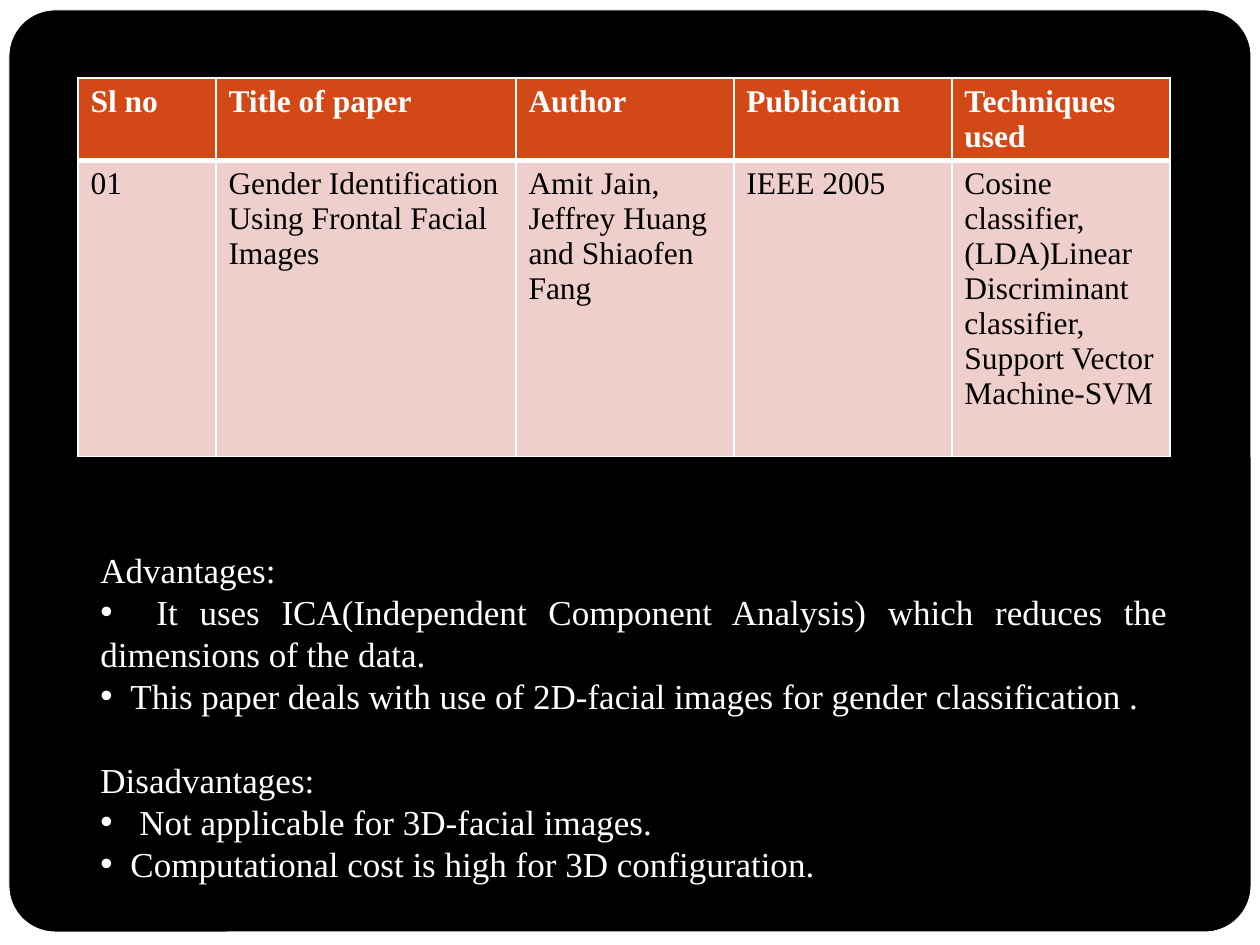
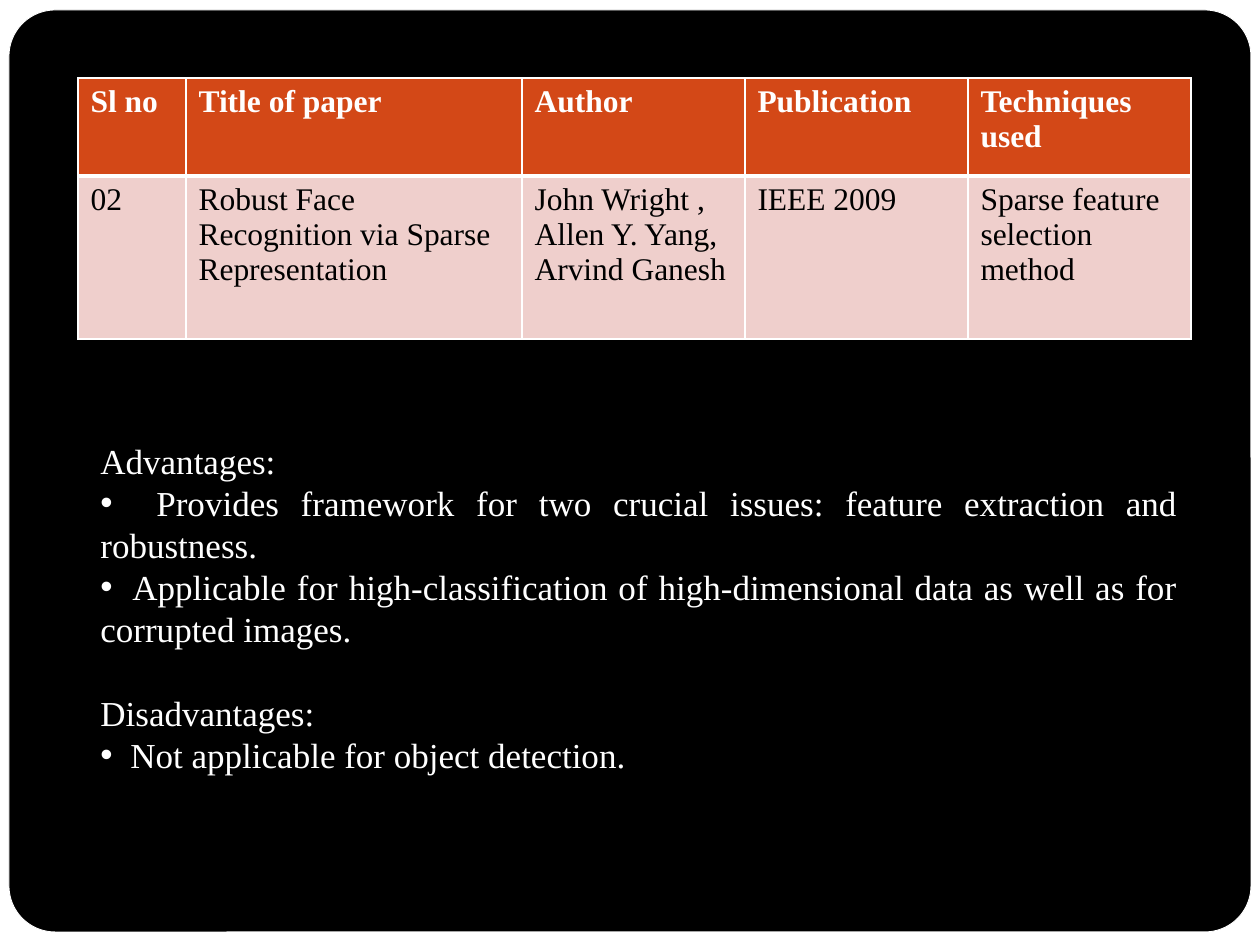
import pptx
import pptx.util
import pptx.dml.color
import pptx.enum.shapes
import pptx.enum.text
from dataclasses import dataclass
from lxml import etree
from pptx.oxml.ns import qn

EMU_PER_PX = 914400 // 126
ALIGN = pptx.enum.text.PP_ALIGN
SHAPE = pptx.enum.shapes.MSO_SHAPE


# Shared look
@dataclass(frozen=True)
class Theme:
    font: str = "Times New Roman"
    light: str = "FFFFFF"
    dark: str = "000000"
    header: str = "D34817"
    body: str = "EFCFCC"
    table_size: int = 18
    review_size: int = 20
    section_gap: int = 24
    thin: float = 1
    thick: float = 3


THEME = Theme()
HEADERS = ["Sl no", "Title of paper", "Author", "Publication", "Techniques used"]


def px(n):
    return pptx.util.Emu(n * EMU_PER_PX)


def rgb(color):
    return pptx.dml.color.RGBColor.from_string(color)


# Text
def add_bullet(p, lead):
    """Flush bullet: wrapped lines return to the left edge."""
    pPr = p._p.get_or_add_pPr()
    pPr.set("marL", "0")
    pPr.set("indent", "0")
    etree.SubElement(pPr, qn("a:buFont"), typeface="Arial")
    etree.SubElement(pPr, qn("a:buChar"), char="•")
    tabs = etree.SubElement(pPr, qn("a:tabLst"))
    etree.SubElement(tabs, qn("a:tab"), pos=str(px(lead)), algn="l")


def add_text(tf, text, size, color, bold=False, align=ALIGN.LEFT, before=0, lead=None):
    p = tf.paragraphs[0]
    if p.runs:
        p = tf.add_paragraph()
    if lead is not None:
        add_bullet(p, lead)
        text = "\t" + text
    p.alignment = align
    if before:
        p.space_before = pptx.util.Pt(before)
    r = p.add_run()
    r.text = text
    r.font.name = THEME.font
    r.font.size = pptx.util.Pt(size)
    r.font.bold = bold
    r.font.color.rgb = rgb(color)


# Background
def add_panel(slide, kind, x, y, w, h, fill, line=None):
    sp = slide.shapes.add_shape(kind, px(x), px(y), px(w), px(h))
    sp.shadow.inherit = False
    sp.fill.solid()
    sp.fill.fore_color.rgb = rgb(fill)
    if line:
        sp.line.color.rgb = rgb(line)
        sp.line.width = pptx.util.Pt(0.5)
    else:
        sp.line.fill.background()
    return sp


def add_frame(slide):
    slide.background.fill.solid()
    slide.background.fill.fore_color.rgb = rgb(THEME.dark)
    add_panel(slide, SHAPE.RECTANGLE, 0, 0, 1260, 945, THEME.light)
    sp = add_panel(slide, SHAPE.ROUNDED_RECTANGLE, 9, 10, 1242, 922,
                   THEME.dark, THEME.light)
    sp.adjustments[0] = 0.05


# Table
def set_borders(cell, top, bottom):
    tcPr = cell._tc.get_or_add_tcPr()
    widths = {"lnL": THEME.thin, "lnR": THEME.thin, "lnT": top, "lnB": bottom}
    for side, width in widths.items():
        ln = etree.SubElement(tcPr, qn("a:" + side), w=str(pptx.util.Pt(width)))
        fill = etree.SubElement(ln, qn("a:solidFill"))
        etree.SubElement(fill, qn("a:srgbClr"), val=THEME.light)


def add_cell(cell, text, is_header):
    if is_header:
        fill, color, edges = THEME.header, THEME.light, (THEME.thin, THEME.thick)
    else:
        fill, color, edges = THEME.body, THEME.dark, (THEME.thick, THEME.thin)
    set_borders(cell, *edges)
    cell.fill.solid()
    cell.fill.fore_color.rgb = rgb(fill)
    for line in text.split("\n"):
        add_text(cell.text_frame, line, size=THEME.table_size, color=color,
                 bold=is_header)


def add_paper_table(slide, paper, col_widths, row_heights):
    table = slide.shapes.add_table(2, len(HEADERS), px(78), px(78),
                                   px(sum(col_widths)), px(sum(row_heights))).table
    for col, width in zip(table.columns, col_widths):
        col.width = px(width)
    for row, height, texts in zip(table.rows, row_heights, (HEADERS, paper)):
        row.height = px(height)
        for cell, text in zip(row.cells, texts):
            add_cell(cell, text, is_header=texts is HEADERS)


# Advantages and disadvantages
def add_review(slide, y, w, h, sections):
    """Each section maps a heading to (text, distance of text from the left) pairs."""
    tf = slide.shapes.add_textbox(px(88), px(y), px(w), px(h)).text_frame
    tf.word_wrap = True
    style = dict(size=THEME.review_size, color=THEME.light, align=ALIGN.JUSTIFY)
    for i, (heading, points) in enumerate(sections.items()):
        add_text(tf, heading, before=THEME.section_gap if i else 0, **style)
        for text, lead in points:
            add_text(tf, text, lead=lead, **style)


def add_paper_slide(prs, paper, col_widths, row_heights, review_box, sections):
    slide = prs.slides.add_slide(prs.slide_layouts[6])
    add_frame(slide)
    add_paper_table(slide, paper, col_widths, row_heights)
    add_review(slide, *review_box, sections)


def main():
    prs = pptx.Presentation()
    prs.slide_width, prs.slide_height = px(1260), px(945)

    # Paper 01
    add_paper_slide(
        prs,
        ["01", "Gender Identification Using Frontal Facial Images",
         "Amit Jain, Jeffrey Huang and Shiaofen Fang", "IEEE 2005",
         "Cosine classifier, (LDA)Linear Discriminant classifier,\n"
         "Support Vector Machine-SVM"],
        [138, 300] + [218] * 3, [78, 296], (542, 1092, 352),
        {"Advantages:": [
            ("It uses ICA(Independent Component Analysis) which reduces the "
             "dimensions of the data.", 56),
            ("This paper deals with use of 2D-facial images for gender "
             "classification .", 30)],
         "Disadvantages:": [
            ("Not applicable for 3D-facial images.", 39),
            ("Computational cost is high for 3D configuration.", 30)]})

    # Paper 02
    add_paper_slide(
        prs,
        ["02", "Robust Face Recognition via Sparse Representation",
         "John Wright ,\nAllen Y. Yang,\nArvind Ganesh", "IEEE 2009",
         "Sparse feature selection method"],
        [108, 336] + [223] * 3, [98, 163], (433, 1102, 394),
        {"Advantages:": [
            ("Provides framework for two crucial issues: feature extraction "
             "and robustness.", 56),
            ("Applicable for high-classification of high-dimensional data as "
             "well as for corrupted images.", 32)],
         "Disadvantages:": [("Not applicable for object detection.", 30)]})

    prs.save("out.pptx")


if __name__ == "__main__":
    main()
